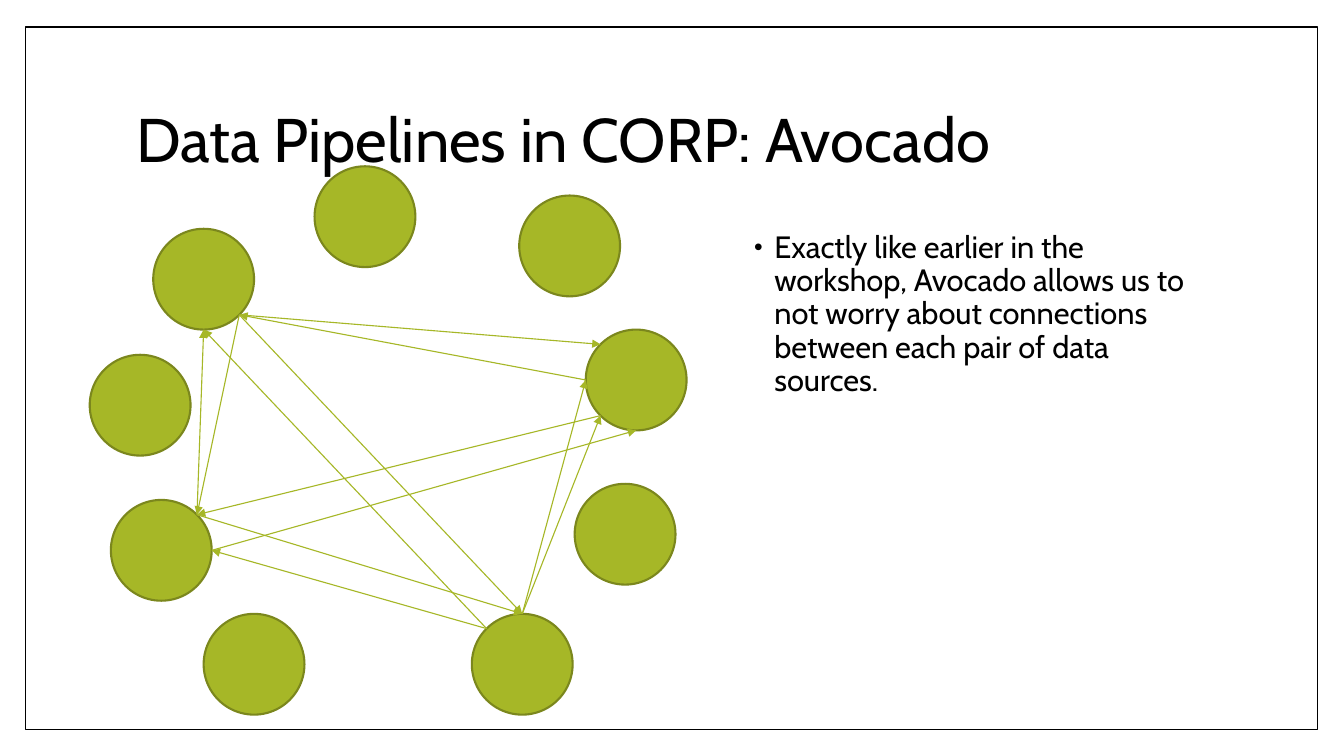
from math import cos, radians, sin

from lxml.etree import SubElement
from pptx import Presentation
from pptx.dml.color import RGBColor
from pptx.enum.shapes import MSO_CONNECTOR, MSO_SHAPE
from pptx.enum.text import MSO_ANCHOR, MSO_AUTO_SIZE, PP_ALIGN
from pptx.oxml.ns import qn
from pptx.util import Inches, Pt

BLACK = RGBColor(0x00, 0x00, 0x00)
WHITE = RGBColor(0xFF, 0xFF, 0xFF)
GREEN = RGBColor(0xA6, 0xB7, 0x27)
OLIVE = RGBColor(0x7B, 0x87, 0x1D)

SOURCES = {
    "northwest": (4.04, 5.54),
    "west": (2.78, 8.04),
    "southwest": (3.2, 10.92),
    "south left": (5.04, 13.18),
    "south right": (10.36, 13.18),
    "southeast": (12.4, 10.6),
    "east": (12.62, 7.54),
    "northeast": (11.3, 4.88),
    "north": (7.24, 4.3),
}
ANGLES = {"right": 0, "lower right": 45, "bottom": 90, "lower left": 135,
          "left": 180, "upper left": 225, "top": 270, "upper right": 315}
LINKS = [
    ("southwest", "right", "east", "bottom"),
    ("east", "lower left", "southwest", "upper right"),
    ("south right", "upper left", "southwest", "right"),
    ("southwest", "upper right", "south right", "top"),
    ("south right", "top", "east", "lower left"),
    ("south right", "top", "east", "left"),
    ("northwest", "lower right", "southwest", "upper right"),
    ("southwest", "upper right", "northwest", "bottom"),
    ("northwest", "lower right", "east", "upper left"),
    ("east", "left", "northwest", "lower right"),
    ("south right", "upper left", "northwest", "bottom"),
    ("northwest", "lower right", "south right", "top"),
]


class SlideBuilder:
    font = "Cabin"
    cell = 0.5
    radius = 1

    def __init__(self, s):
        self.s = s

    def grid(self, *cells):
        return [Inches(c * self.cell) for c in cells]

    def frame(self, *box):
        sp = self.s.shapes.add_shape(MSO_SHAPE.RECTANGLE, *self.grid(*box))
        self.paint(sp, WHITE, BLACK, 1)
        self.s.shapes._spTree.insert(2, sp._element)

    def paint(self, sp, fill, line, width):
        sp.shadow.inherit = False
        sp.fill.solid()
        sp.fill.fore_color.rgb = fill
        sp.line.color.rgb = line
        sp.line.width = Pt(width)

    def text(self, sp, box, text, size, anchor, bullet=False):
        sp.left, sp.top, sp.width, sp.height = self.grid(*box)
        tf = sp.text_frame
        tf.word_wrap = True
        tf.auto_size = MSO_AUTO_SIZE.NONE
        tf.vertical_anchor = anchor
        p = tf.paragraphs[0]
        if bullet:
            self.bullet(p)
        p.alignment = PP_ALIGN.LEFT
        p.line_spacing = 0.9
        p.space_before = Pt(0)
        r = p.add_run()
        r.text = text
        r.font.name = self.font
        r.font.size = Pt(size)
        r.font.color.rgb = BLACK

    def bullet(self, p):
        pPr = p._p.get_or_add_pPr()
        pPr.set("marL", str(Inches(0.25)))
        pPr.set("indent", str(Inches(-0.2)))
        color = SubElement(pPr, qn("a:buClr"))
        SubElement(color, qn("a:srgbClr"), val=str(BLACK))
        SubElement(pPr, qn("a:buSzPct"), val="80000")
        SubElement(pPr, qn("a:buFont"), typeface="Arial")
        SubElement(pPr, qn("a:buChar"), char="•")

    def source(self, x, y):
        d = 2 * self.radius
        box = self.grid(x - self.radius, y - self.radius, d, d)
        sp = self.s.shapes.add_shape(MSO_SHAPE.OVAL, *box)
        self.paint(sp, GREEN, OLIVE, 1.5)

    def rim(self, source, side):
        x, y = SOURCES[source]
        a = radians(ANGLES[side])
        return self.grid(x + self.radius * cos(a), y + self.radius * sin(a))

    def arrow(self, start, start_side, end, end_side):
        cx = self.s.shapes.add_connector(
            MSO_CONNECTOR.STRAIGHT, *self.rim(start, start_side), *self.rim(end, end_side))
        cx.line.color.rgb = GREEN
        cx.line.width = Pt(0.79)
        SubElement(cx.line._get_or_add_ln(), qn("a:tailEnd"), type="triangle")
        SubElement(cx._element.spPr, qn("a:effectLst"))


def main():
    prs = Presentation()
    prs.slide_width, prs.slide_height = Inches(13.33), Inches(7.5)
    s = prs.slides.add_slide(prs.slide_layouts[1])
    s.background.fill.solid()
    s.background.fill.fore_color.rgb = WHITE
    b = SlideBuilder(s)
    b.frame(0.5, 0.54, 25.64, 13.94)
    b.text(s.shapes.title, (2.5, 1.34, 21.6, 2.96),
           "Data Pipelines in CORP: Avocado", 44, MSO_ANCHOR.MIDDLE)
    b.text(s.placeholders[1], (14.66, 4.5, 9.44, 8.84),
           "Exactly like earlier in the workshop, Avocado allows us to not worry "
           "about connections between each pair of data sources.",
           22, MSO_ANCHOR.TOP, bullet=True)
    for center in SOURCES.values():
        b.source(*center)
    for link in LINKS:
        b.arrow(*link)
    prs.save("out.pptx")


if __name__ == "__main__":
    main()
